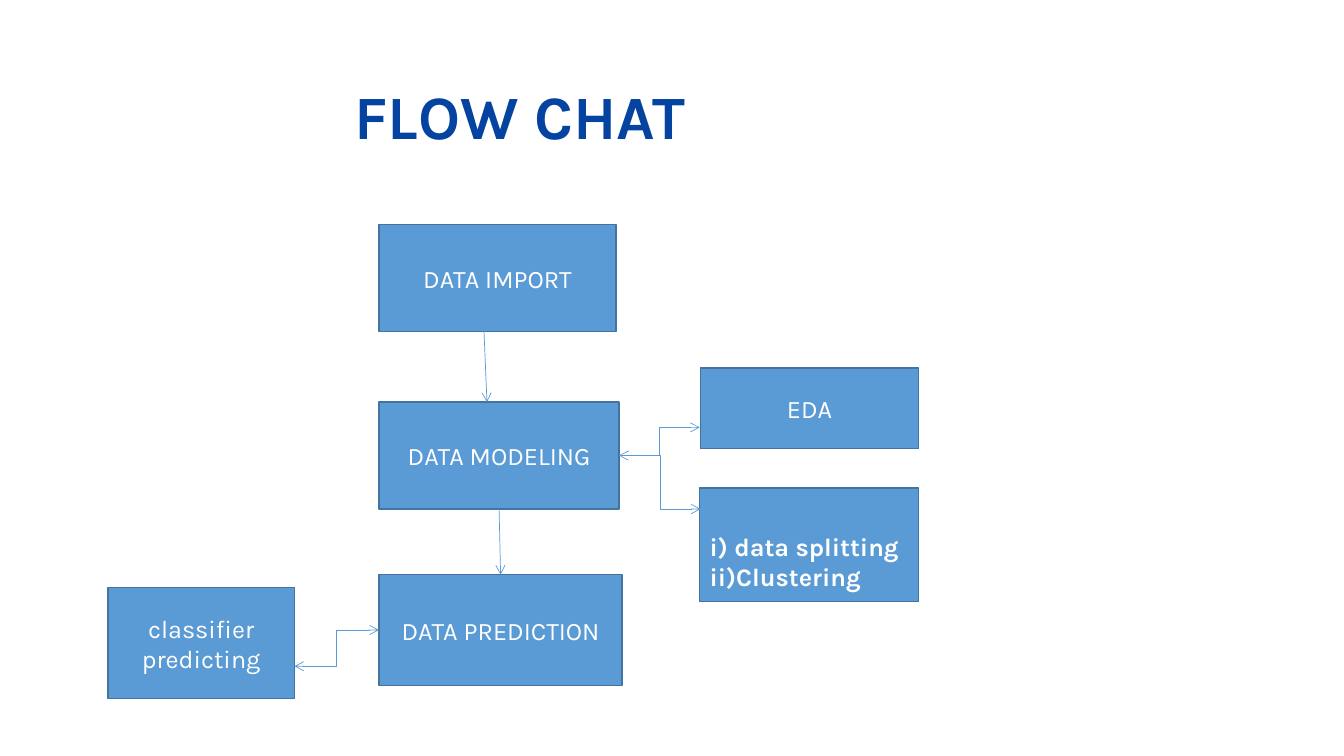
from pptx import Presentation
from pptx import util as u
from pptx.dml.color import RGBColor
from pptx.enum import shapes, text
from pptx.oxml.ns import qn
from lxml import etree

TOP, LEFT, BOTTOM, RIGHT = range(4)


def color(value):
    return RGBColor.from_string(value)


class FlowSlide:
    font = "Karla"
    title_color = "0543A0"
    box_fill = "5B9BD5"
    box_line = "43739E"
    box_text = "FFFFFF"

    def __init__(self, presentation):
        self.slide = presentation.slides.add_slide(presentation.slide_layouts[6])

    def set_text(self, shape, content, size, ink, bold=False, align=text.PP_ALIGN.CENTER):
        frame = shape.text_frame
        frame.word_wrap = True
        frame.vertical_anchor = text.MSO_ANCHOR.MIDDLE
        frame.text = content
        for paragraph in frame.paragraphs:
            paragraph.alignment = align
            for run in paragraph.runs:
                run.font.name = self.font
                run.font.size = u.Pt(size)
                run.font.bold = bold
                run.font.color.rgb = color(ink)

    def title(self, content, *bounds):
        shape = self.slide.shapes.add_textbox(*map(u.Inches, bounds))
        self.set_text(shape, content, 44, self.title_color, bold=True)
        shape.text_frame.paragraphs[0].line_spacing = 0.9

    def box(self, content, *bounds, **style):
        shape = self.slide.shapes.add_shape(
            shapes.MSO_SHAPE.RECTANGLE, *map(u.Inches, bounds))
        shape.shadow.inherit = False
        shape.fill.solid()
        shape.fill.fore_color.rgb = color(self.box_fill)
        shape.line.color.rgb = color(self.box_line)
        shape.line.width = u.Pt(1)
        self.set_text(shape, content, 18, self.box_text, **style)
        return shape

    def arrow(self, kind, start, end, ends=("tailEnd",)):
        connector = self.slide.shapes.add_connector(kind, *map(u.Inches, start + end))
        connector.line.color.rgb = color(self.box_fill)
        connector.line.width = u.Pt(0.5)
        properties = connector.element.spPr
        line = properties.find(qn("a:ln"))
        for name in ends:
            etree.SubElement(line, qn(f"a:{name}"), type="arrow")
        etree.SubElement(properties, qn("a:effectLst"))
        return connector


def main():
    presentation = Presentation()
    presentation.slide_width = u.Inches(13.33)
    presentation.slide_height = u.Inches(7.5)
    flow = FlowSlide(presentation)

    flow.title("FLOW CHAT", 0.44, 0.46, 9.43, 1.45)
    flow.box("DATA IMPORT", 3.76, 2.23, 2.35, 1.06)
    modeling = flow.box("DATA MODELING", 3.76, 3.99, 2.38, 1.06)
    prediction = flow.box("DATA PREDICTION", 3.76, 5.7, 2.41, 1.1)
    flow.box("EDA", 6.95, 3.65, 2.16, 0.8)
    steps = flow.box("i) data splitting\nii)Clustering", 6.94, 4.84, 2.17, 1.13,
                     bold=True, align=text.PP_ALIGN.LEFT)
    steps.text_frame.vertical_anchor = text.MSO_ANCHOR.BOTTOM
    steps.text_frame.margin_bottom = u.Inches(0.1)
    flow.box("classifier predicting", 1.07, 5.83, 1.85, 1.1)

    straight, elbow = shapes.MSO_CONNECTOR.STRAIGHT, shapes.MSO_CONNECTOR.ELBOW
    both = ("headEnd", "tailEnd")
    flow.arrow(straight, (4.8, 3.28), (4.83, 3.99))
    to_prediction = flow.arrow(straight, (4.95, 5.05), (4.95, 5.7))
    to_prediction.begin_connect(modeling, BOTTOM)
    to_prediction.end_connect(prediction, TOP)
    to_steps = flow.arrow(elbow, (6.14, 4.52), (6.95, 5.05))
    to_steps.begin_connect(modeling, RIGHT)
    to_eda = flow.arrow(elbow, (6.14, 4.52), (6.94, 4.24), both)
    to_eda.begin_connect(modeling, RIGHT)
    to_classifier = flow.arrow(elbow, (3.76, 6.25), (2.92, 6.61), both)
    to_classifier.begin_connect(prediction, LEFT)

    presentation.save("out.pptx")


if __name__ == "__main__":
    main()
